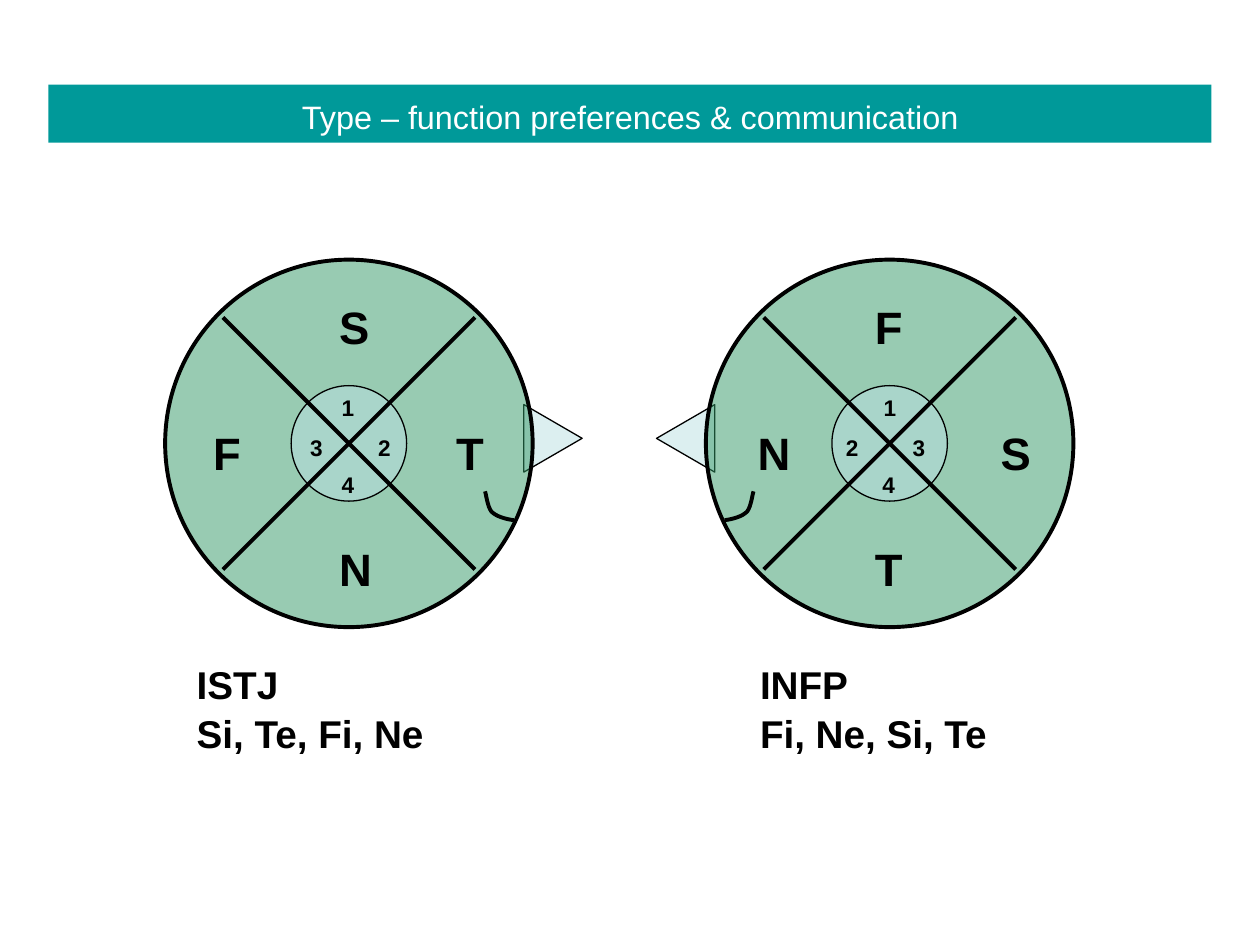
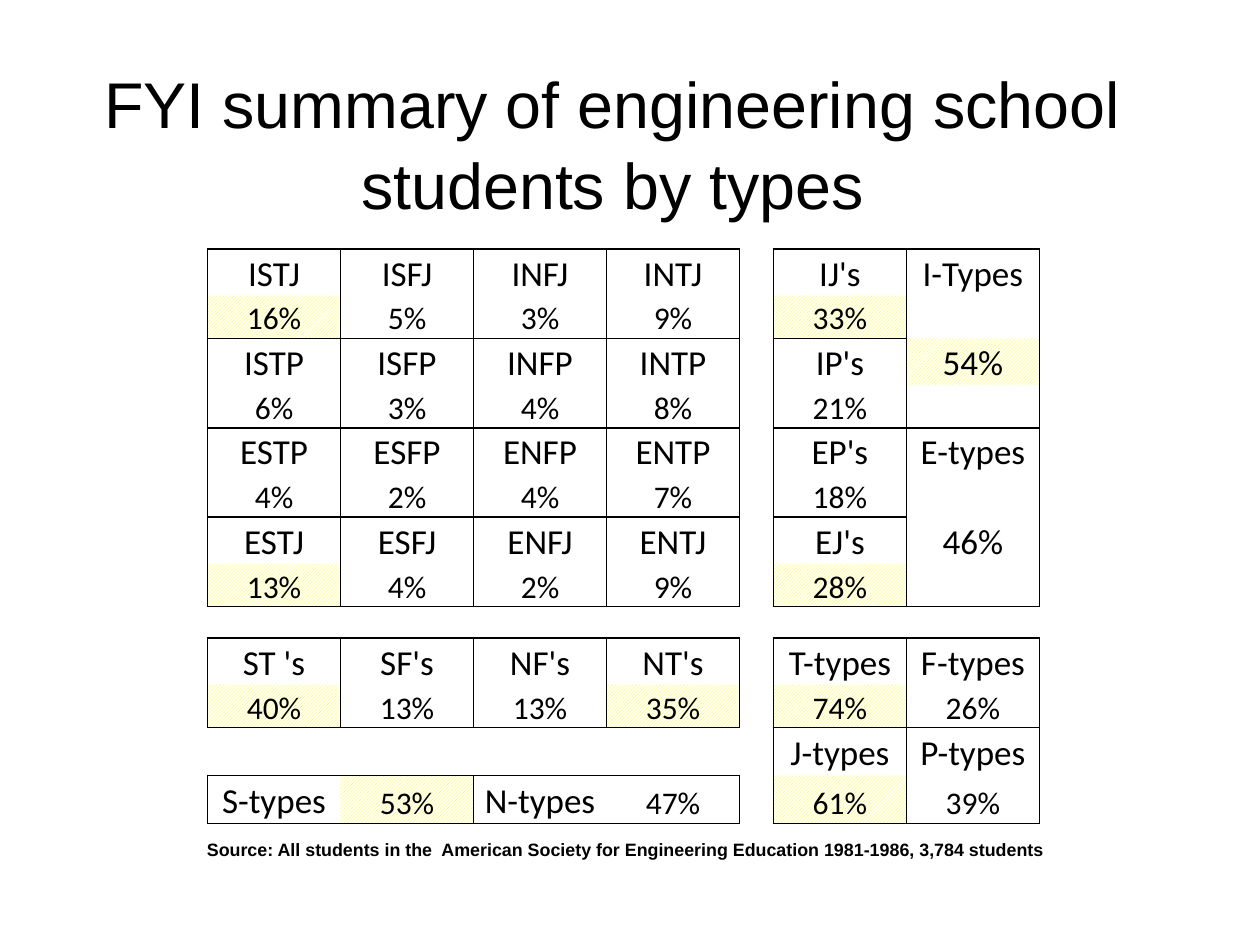
from lxml.etree import SubElement
from pptx import Presentation
from pptx.dml.color import RGBColor
from pptx.enum.dml import MSO_PATTERN
from pptx.enum.shapes import MSO_CONNECTOR, MSO_SHAPE
from pptx.enum.text import MSO_ANCHOR, PP_ALIGN
from pptx.oxml import parse_xml
from pptx.oxml.ns import nsdecls, qn
from pptx.util import Pt

COLORS = {
    "band": "009999",
    "head": "339966",
    "core": "BBE0E3",
    "mark": "FFFF00",
    "paper": "FFFFFF",
    "ink": "000000",
}
FORMATS = {
    "band title": {"name": "Arial", "size": Pt(18.5), "color": "paper"},
    "title": {"name": "Arial", "size": Pt(36.9), "color": "ink"},
    "type": {"name": "Arial", "size": Pt(22.1), "bold": True, "color": "ink"},
    "function": {"name": "Arial", "size": Pt(25.9), "bold": True, "color": "ink"},
    "rank": {"name": "Arial", "size": Pt(12.9), "bold": True, "color": "ink"},
    "source": {"name": "Arial", "size": Pt(10.2), "bold": True, "color": "ink"},
    "cell name": {"name": "Calibri", "size": Pt(20), "color": "ink"},
    "cell value": {"name": "Calibri", "size": Pt(18), "color": "ink"},
}
NO_GRID_STYLE = "{2D5ABB26-0587-4C30-8999-92F81FD0307C}"
THICK, THIN = 2.25, 0.75


def rgb(name):
    return RGBColor.from_string(COLORS[name])


class Painter:
    """Holds the deck, its style and the current page."""

    def __init__(self, width, height):
        self.deck = Presentation()
        self.deck.slide_width, self.deck.slide_height = Pt(width), Pt(height)
        self.page = None

    def new_page(self):
        self.page = self.deck.slides.add_slide(self.deck.slide_layouts[6])

    def span(self, para, text, style):
        span = para.add_run()
        span.text = text
        for key, value in FORMATS[style].items():
            if key == "color":
                span.font.color.rgb = rgb(value)
            else:
                setattr(span.font, key, value)

    def text(self, left, top, width, height, lines, style, wrap=True,
             align=PP_ALIGN.LEFT, anchor=MSO_ANCHOR.TOP, spacing=None):
        box = self.page.shapes.add_textbox(Pt(left), Pt(top), Pt(width), Pt(height))
        frame = box.text_frame
        lead = FORMATS[style]["size"].pt * 0.09 if anchor == MSO_ANCHOR.TOP else 0
        settings = {
            "word_wrap": wrap, "vertical_anchor": anchor,
            "margin_left": Pt(6.6), "margin_right": Pt(6.6),
            "margin_top": Pt(3.3 + lead), "margin_bottom": Pt(3.3),
        }
        for key, value in settings.items():
            setattr(frame, key, value)
        for index, line in enumerate(lines):
            para = frame.add_paragraph() if index else frame.paragraphs[0]
            para.alignment = align
            para.line_spacing = spacing
            self.span(para, line, style)

    def title(self, left, top, width, height, text, style):
        self.text(left, top, width, height, [text], style, spacing=1.04,
                  align=PP_ALIGN.CENTER, anchor=MSO_ANCHOR.MIDDLE)

    def outline(self, shape, weight):
        shape.line.color.rgb = rgb("ink")
        shape.line.width = Pt(weight)

    def shape(self, kind, center_x, center_y, width, height, fill,
              weight=None, opacity=None, rotation=0):
        shape = self.page.shapes.add_shape(
            kind, Pt(center_x - width / 2), Pt(center_y - height / 2),
            Pt(width), Pt(height))
        shape.shadow.inherit = False
        shape.rotation = rotation
        shape.fill.solid()
        shape.fill.fore_color.rgb = rgb(fill)
        if opacity:
            color = shape._element.spPr.find(qn("a:solidFill"))[0]
            SubElement(color, qn("a:alpha")).set("val", str(opacity * 1000))
        if weight:
            self.outline(shape, weight)
        else:
            shape.line.fill.background()

    def line(self, x1, y1, x2, y2):
        line = self.page.shapes.add_connector(
            MSO_CONNECTOR.STRAIGHT, Pt(x1), Pt(y1), Pt(x2), Pt(y2))
        self.outline(line, THICK)
        SubElement(line._element.spPr, qn("a:effectLst"))

    def curve(self, points):
        points = [(Pt(x), Pt(y)) for x, y in points]
        builder = self.page.shapes.build_freeform(*points[0], scale=1.0)
        builder.add_line_segments(points[1:], close=False)
        curve = builder.convert_to_shape()
        curve.shadow.inherit = False
        curve.fill.background()
        self.outline(curve, THICK)

    def table(self, left, top, widths, heights, rows, marked, boxes):
        frame = self.page.shapes.add_table(
            len(heights), len(widths), Pt(left), Pt(top),
            Pt(sum(widths)), Pt(sum(heights)))
        table = frame.table
        table.first_row = table.horz_banding = False
        table._tbl.tblPr.find(qn("a:tableStyleId")).text = NO_GRID_STYLE
        for column, width in zip(table.columns, widths):
            column.width = Pt(width)
        edges = box_edges(boxes)
        for r, (row, height) in enumerate(zip(rows, heights)):
            table.rows[r].height = Pt(height)
            for c, text in enumerate(row):
                cell = table.cell(r, c)
                self.cell(cell, text, (r, c) in marked)
                sides = {"lnL": ("v", r, c), "lnR": ("v", r, c + 1),
                         "lnT": ("h", r, c), "lnB": ("h", r + 1, c)}
                self.borders(cell, [(tag, edge in edges) for tag, edge in sides.items()])

    def cell(self, cell, text, marked):
        cell.vertical_anchor = MSO_ANCHOR.BOTTOM
        cell.margin_left = cell.margin_right = cell.margin_top = Pt(0.7)
        cell.margin_bottom = Pt(0)
        para = cell.text_frame.paragraphs[0]
        para.alignment = PP_ALIGN.CENTER
        if text:
            small = text.endswith("%") and text not in TOTALS
            self.span(para, text, "cell value" if small else "cell name")
        else:
            SubElement(para._p, qn("a:endParaRPr")).set("sz", "1000")
        if marked:
            cell.fill.patterned()
            cell.fill.pattern = MSO_PATTERN.LIGHT_UPWARD_DIAGONAL
            cell.fill.fore_color.rgb = rgb("mark")
            cell.fill.back_color.rgb = rgb("paper")
        else:
            cell.fill.background()

    def borders(self, cell, sides):
        properties = cell._tc.get_or_add_tcPr()
        ink = f'<a:solidFill><a:srgbClr val="{COLORS["ink"]}"/></a:solidFill>'
        for index, (tag, drawn) in enumerate(sides):
            fill = ink if drawn else "<a:noFill/>"
            properties.insert(index, parse_xml(
                f'<a:{tag} {nsdecls("a")} w="{Pt(1)}">{fill}</a:{tag}>'))


def box_edges(boxes):
    """Grid edges around boxes given as first row, last row, first and last column."""
    edges = set()
    for top, bottom, left, right in boxes:
        for r in range(top, bottom + 1):
            edges |= {("v", r, left), ("v", r, right + 1)}
        for c in range(left, right + 1):
            edges |= {("h", top, c), ("h", bottom + 1, c)}
    return edges


def bezier(start, first, second, end, steps=8):
    for step in range(1, steps + 1):
        t = step / steps
        u = 1 - t
        yield tuple(u**3 * a + 3 * u * u * t * b + 3 * u * t * t * c + t**3 * d
                    for a, b, c, d in zip(start, first, second, end))


# Heads: offsets are measured from the centre of each circle
HEAD_Y, HEAD_RADIUS, CORE_RADIUS, CROSS = 253.4, 105, 33, 72
MOUTH = [(94.3, 43.9), (89.3, 43.2), (84.2, 41.8), (81.4, 38.9),
         (79.2, 36), (78.5, 29.5), (77.8, 27.4)]
ROWS_LETTER = {"top": -87.8, "middle": -15.8, "bottom": 50.4}
ROWS_RANK = {"top": -32.6, "middle": -10.1, "bottom": 11.5}
HEADS = [
    {"x": 199.4, "facing": 1, "caption": (105.8, ["ISTJ", "Si, Te, Fi, Ne"]),
     "letters": [("S", -12.2, "top"), ("T", 54.7, "middle"),
                 ("F", -84.2, "middle"), ("N", -12.2, "bottom")],
     "ranks": [("1", -10.8, "top"), ("2", 10.1, "middle"),
               ("3", -28.8, "middle"), ("4", -10.8, "bottom")]},
    {"x": 508.4, "facing": -1, "caption": (427.7, ["INFP", "Fi, Ne, Si, Te"]),
     "letters": [("F", -15.1, "top"), ("N", -82.1, "middle"),
                 ("S", 56.8, "middle"), ("T", -15.1, "bottom")],
     "ranks": [("1", -10.1, "top"), ("2", -31.7, "middle"),
               ("3", 6.5, "middle"), ("4", -10.8, "bottom")]},
]


def draw_head(painter, head):
    x, facing = head["x"], head["facing"]
    # Nose, face and core
    painter.shape(MSO_SHAPE.ISOSCELES_TRIANGLE, x + facing * 116.6, HEAD_Y - 2.9,
                  38.6, 33.3, "core", THIN, 50, 90 * facing % 360)
    for radius, fill, weight in ((HEAD_RADIUS, "head", THICK), (CORE_RADIUS, "core", THIN)):
        painter.shape(MSO_SHAPE.OVAL, x, HEAD_Y, 2 * radius, 2 * radius, fill, weight, 50)
    # Mouth and cross
    points = [MOUTH[0], *bezier(*MOUTH[:4]), *bezier(*MOUTH[3:])]
    painter.curve([(x + facing * dx, HEAD_Y + dy) for dx, dy in points])
    for slope in (1, -1):
        painter.line(x - CROSS, HEAD_Y - slope * CROSS, x + CROSS, HEAD_Y + slope * CROSS)
    # Functions, ranks and caption
    for key, rows, width, height, style in (
            ("letters", ROWS_LETTER, 27.4, 38.9, "function"),
            ("ranks", ROWS_RANK, 22.3, 23, "rank")):
        for label, dx, row in head[key]:
            painter.text(x + dx, HEAD_Y + rows[row], width, height, [label], style)
    left, lines = head["caption"]
    painter.text(left, 371.5, 145.4, 61.2, lines, "type", wrap=False, spacing=1.04)


# Summary table
TOTALS = {"54%", "46%"}
SUMMARY = [row.split("|") for row in (
    "ISTJ|ISFJ|INFJ|INTJ||IJ's|I-Types",
    "16%|5%|3%|9%||33%|",
    "ISTP|ISFP|INFP|INTP||IP's|54%",
    "6%|3%|4%|8%||21%|",
    "ESTP|ESFP|ENFP|ENTP||EP's|E-types",
    "4%|2%|4%|7%||18%|",
    "ESTJ|ESFJ|ENFJ|ENTJ||EJ's|46%",
    "13%|4%|2%|9%||28%|",
    "||||||",
    "ST 's|SF's|NF's|NT's||T-types|F-types",
    "40%|13%|13%|35%||74%|26%",
    "|||||J-types|P-types",
    "S-types|53%|N-types|47%||61%|39%",
)]
MARKED = {(1, 0), (1, 5), (2, 6), (7, 0), (7, 5), (10, 0), (10, 3), (10, 5),
          (12, 1), (12, 5)}
BOXES = [(top, top + 1, c, c) for top in (0, 2, 4, 6, 9) for c in (0, 1, 2, 3, 5)]
BOXES += [(0, 3, 6, 6), (4, 7, 6, 6), (9, 10, 6, 6), (11, 12, 5, 5), (11, 12, 6, 6),
          (12, 12, 0, 1), (12, 12, 2, 3)]


def main():
    painter = Painter(720, 540)

    # Function preferences
    painter.new_page()
    painter.shape(MSO_SHAPE.RECTANGLE, 360, 65, 664.6, 33.2, "band")
    painter.title(36, 43.2, 648, 45.4,
                  "Type – function preferences & communication", "band title")
    for head in HEADS:
        draw_head(painter, head)

    # Students by types
    painter.new_page()
    painter.title(12.2, 39.6, 676, 82.8,
                  "FYI summary of engineering school students by types", "title")
    painter.text(111.6, 475.2, 497.5, 19.4,
                 ["Source: All students in the  American Society for Engineering "
                  "Education 1981-1986, 3,784 students"], "source", wrap=False)
    painter.table(118.6, 142.3, [76] * 4 + [19.4] + [76] * 2,
                  [26.6, 24.5] * 4 + [18, 26.6, 24.5] + [27.4] * 2,
                  SUMMARY, MARKED, BOXES)

    painter.deck.save("out.pptx")


if __name__ == "__main__":
    main()
